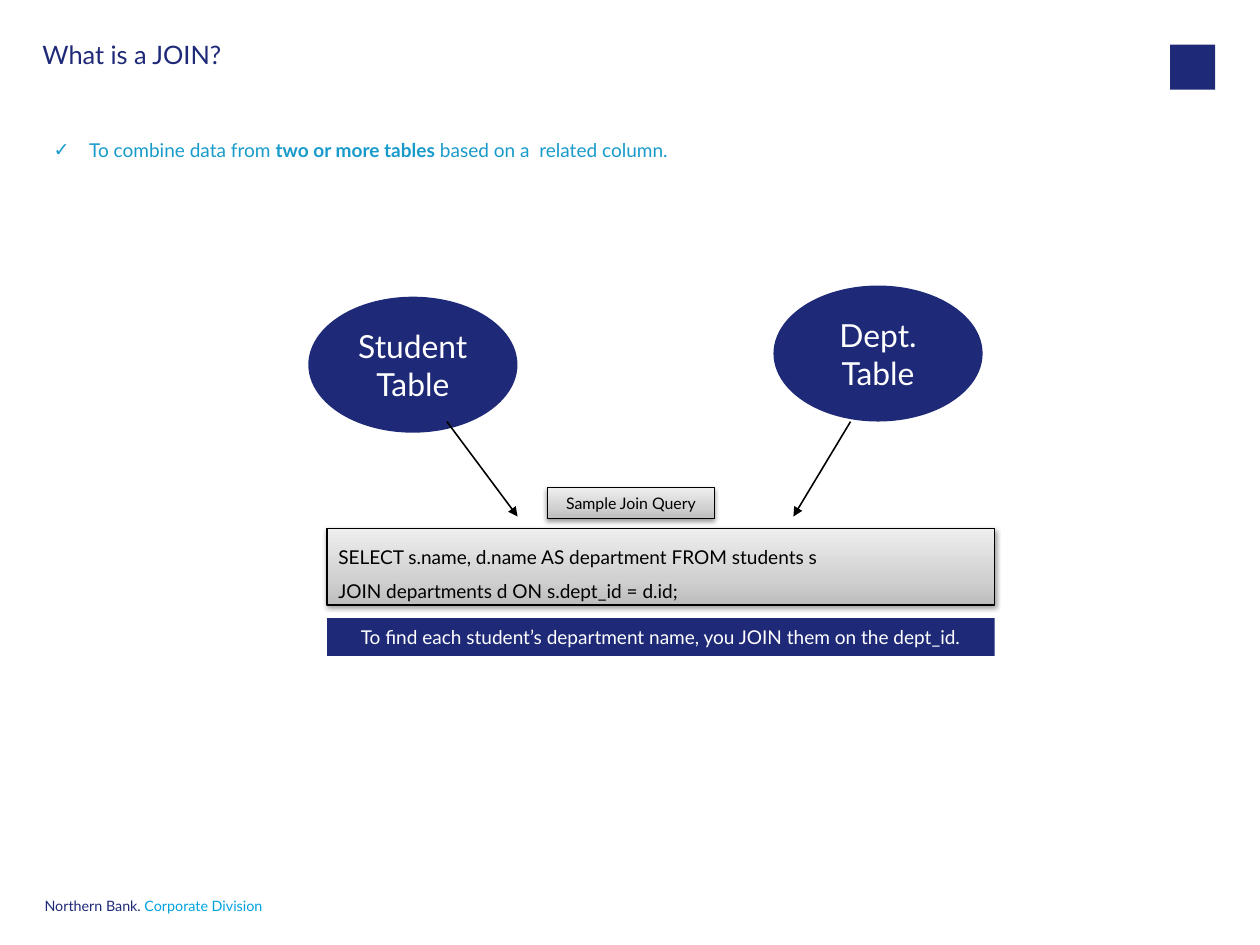
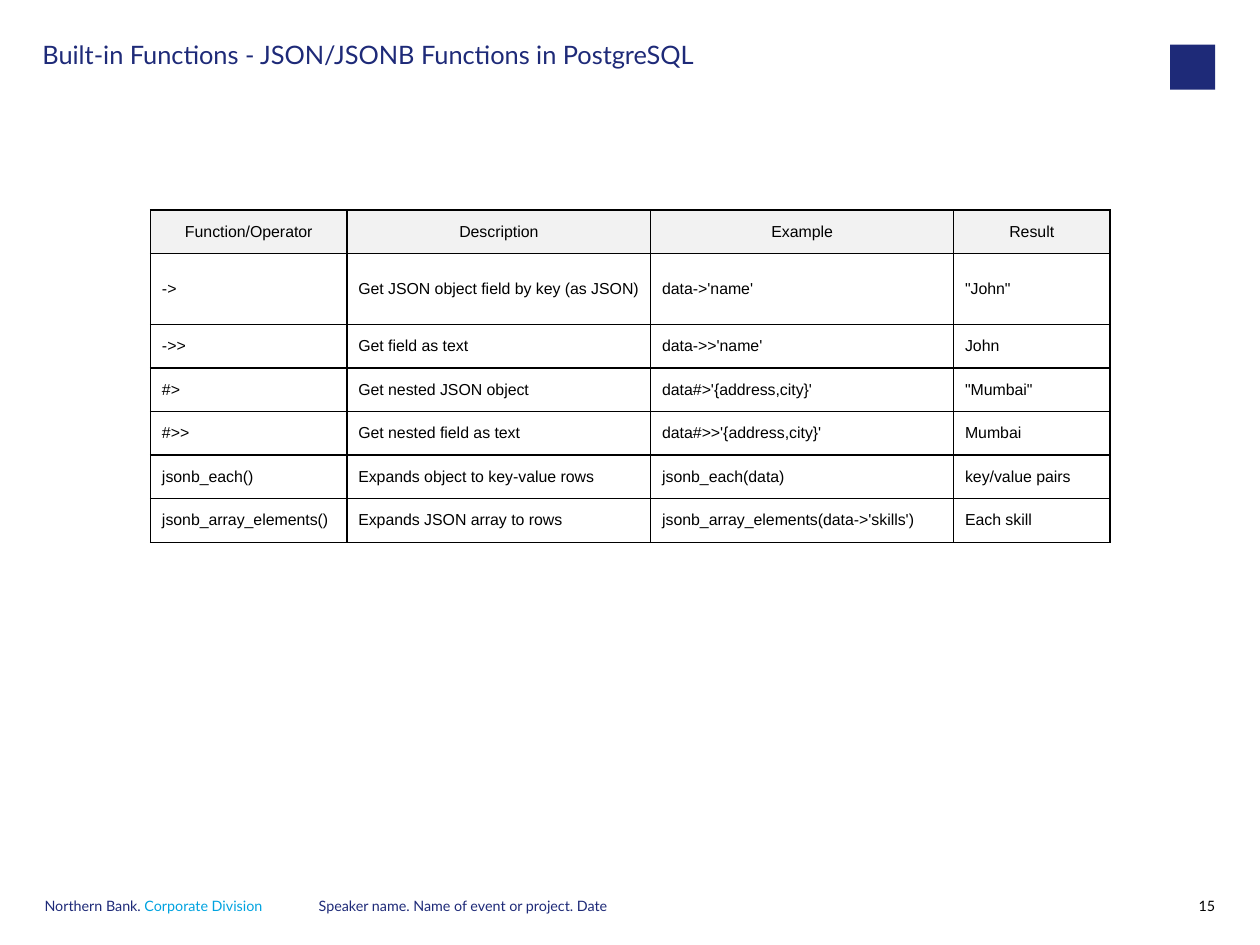
"""Build two slides on SQL joins and JSON functions."""
from dataclasses import dataclass
from typing import Optional

from lxml import etree
from pptx import Presentation
from pptx import util as u
from pptx.dml.color import RGBColor
from pptx.enum import shapes, text
from pptx.oxml import parse_xml
from pptx.oxml.ns import nsdecls, qn

WIDTH = u.Mm(280)
HEIGHT = u.Mm(210)
LEFT, CENTER, RIGHT = text.PP_ALIGN.LEFT, text.PP_ALIGN.CENTER, text.PP_ALIGN.RIGHT
TOP, MIDDLE = text.MSO_ANCHOR.TOP, text.MSO_ANCHOR.MIDDLE


@dataclass(frozen=True)
class Theme:
    """Colours, fonts and type sizes in points."""
    navy: str = "1E2A78"
    sky: str = "00A3E0"
    teal: str = "189BCB"
    black: str = "000000"
    white: str = "FFFFFF"
    header: str = "F2F2F2"
    metal: tuple = ((0, "BDBDBD"), (35, "D1D1D1"), (100, "EEEEEE"))
    font: str = "Lato"
    table_font: str = "Arial"
    title: int = 16
    oval: int = 20
    body: int = 12
    small: int = 10
    footer: int = 9


THEME = Theme()


@dataclass(frozen=True)
class Area:
    """Left, top, width and height in percent of the slide."""
    left: float
    top: float
    width: float
    height: float

    def lengths(self) -> tuple:
        """Return the four lengths."""
        return across(self.left), down(self.top), across(self.width), down(self.height)


@dataclass(frozen=True)
class Run:
    """A piece of text with an optional colour or weight of its own."""
    text: str
    color: Optional[str] = None
    bold: Optional[bool] = None


@dataclass(frozen=True)
class Style:
    """How the paragraphs of one text frame look."""
    size: int
    color: str
    align: int = LEFT
    anchor: int = TOP
    spacing: Optional[object] = None
    margins: tuple = (0.1, 0.05)
    font: str = THEME.font
    bullet: str = ""


@dataclass(frozen=True)
class Block:
    """A filled shape or plain text box with its paragraphs."""
    area: Area
    paragraphs: tuple
    style: Style
    preset: Optional[int] = None
    metal: bool = False


RECTANGLE, OVAL = shapes.MSO_SHAPE.RECTANGLE, shapes.MSO_SHAPE.OVAL
FLUSH = (0, 0)
PADDED = (0.11, 0.06)
TITLE = Style(THEME.title, THEME.navy, spacing=0.9, margins=FLUSH)
FOOTER = Style(THEME.footer, THEME.navy, spacing=u.Pt(9), margins=FLUSH)
NUMBER = Style(THEME.footer, THEME.black, RIGHT, spacing=u.Pt(9), margins=FLUSH)
POINT = Style(THEME.body, THEME.teal, bullet="✓")
OVAL_TEXT = Style(THEME.oval, THEME.white, CENTER, MIDDLE, margins=PADDED)
CAPTION = Style(THEME.body, THEME.white, CENTER, MIDDLE, margins=PADDED)
QUERY = Style(THEME.body, THEME.black, spacing=1.5)
LABEL = Style(THEME.small, THEME.black, CENTER)
CELL = Style(THEME.small, THEME.black, anchor=MIDDLE, font=THEME.table_font)
HEADER = Style(THEME.small, THEME.black, CENTER, MIDDLE, font=THEME.table_font)

TITLE_AREA = Area(3.37, 4.47, 85.9, 7.38)
MARK_AREA = Area(92.86, 4.72, 3.58, 4.77)
FOOTER_TOP, FOOTER_HEIGHT = 95.28, 2.42
BRAND = Block(Area(3.54, FOOTER_TOP, 19.87, FOOTER_HEIGHT),
              ((Run("Northern Bank. "), Run("Corporate Division", THEME.sky)),), FOOTER)

JOIN_BLOCKS = (
    Block(Area(3.37, 14.03, 86.72, 3.63),
          ((Run("To combine data from "), Run("two or more tables", bold=True),
            Run(" based on a  related column.")),), POINT),
    Block(Area(24.47, 31.4, 16.6, 14.39), ("Student Table",), OVAL_TEXT, OVAL),
    Block(Area(61.39, 30.22, 16.6, 14.39), ("Dept. Table",), OVAL_TEXT, OVAL),
    Block(Area(25.96, 55.93, 52.98, 8.1),
          ("SELECT s.name, d.name AS department FROM students s",
           "JOIN departments d ON s.dept_id = d.id;"), QUERY, RECTANGLE, True),
    Block(Area(25.96, 65.42, 52.98, 3.99),
          ("To find each student’s department name, you JOIN them on the dept_id.",),
          CAPTION, RECTANGLE),
    Block(Area(43.45, 51.63, 13.25, 3.26), ("Sample Join Query",), LABEL, RECTANGLE, True),
)
ARROW_TOP, ARROW_BOTTOM = 44.62, 54.66
ARROWS = ((35.47, 41.08), (67.5, 62.97))

JSON_BLOCKS = (
    Block(Area(92.9, FOOTER_TOP, 3.54, FOOTER_HEIGHT), ("15",), NUMBER),
    Block(Area(25.3, FOOTER_TOP, 49, FOOTER_HEIGHT),
          ("Speaker name. Name of event or project. Date",), FOOTER),
)
TABLE_LEFT, TABLE_TOP = 11.95, 22.22
COLUMNS = (15.58, 24.12, 24.04, 12.4)
ROW, TALL_ROW = 4.61, 7.5
ROWS = (
    ("Function/Operator", "Description", "Example", "Result"),
    ("->", "Get JSON object field by key (as JSON)", "data->'name'", '"John"'),
    ("->>", "Get field as text", "data->>'name'", "John"),
    ("#>", "Get nested JSON object", "data#>'{address,city}'", '"Mumbai"'),
    ("#>>", "Get nested field as text", "data#>>'{address,city}'", "Mumbai"),
    ("jsonb_each()", "Expands object to key-value rows", "jsonb_each(data)",
     "key/value pairs"),
    ("jsonb_array_elements()", "Expands JSON array to rows",
     "jsonb_array_elements(data->'skills')", "Each skill"),
)


def across(percent: float) -> int:
    """Return a share of the slide width."""
    return round(WIDTH * percent / 100)


def down(percent: float) -> int:
    """Return a share of the slide height."""
    return round(HEIGHT * percent / 100)


def rgb(color: str) -> RGBColor:
    """Return a colour object."""
    return RGBColor.from_string(color)


def add_bullet(paragraph, style: Style) -> None:
    """Give a paragraph a hanging bullet."""
    properties = paragraph._p.get_or_add_pPr()
    indent = across(2.81)
    properties.set("marL", str(indent))
    properties.set("indent", str(-indent))
    etree.SubElement(properties, qn("a:buFont")).set("typeface", style.font)
    etree.SubElement(properties, qn("a:buChar")).set("char", style.bullet)


def write(frame, paragraphs: tuple, style: Style) -> None:
    """Fill a text frame with styled paragraphs."""
    for index, content in enumerate(paragraphs):
        paragraph = frame.add_paragraph() if index else frame.paragraphs[0]
        paragraph.alignment = style.align
        if style.spacing:
            paragraph.line_spacing = style.spacing
        if style.bullet:
            add_bullet(paragraph, style)
        font = paragraph.font
        font.name, font.size = style.font, u.Pt(style.size)
        font.color.rgb = rgb(style.color)
        for part in (Run(content),) if isinstance(content, str) else content:
            run = paragraph.add_run()
            run.text = part.text
            if part.color:
                run.font.color.rgb = rgb(part.color)
            if part.bold:
                run.font.bold = True


def set_frame(frame, style: Style) -> None:
    """Set wrapping, anchor and margins of a text frame."""
    frame.word_wrap = True
    frame.auto_size = text.MSO_AUTO_SIZE.NONE
    frame.vertical_anchor = style.anchor
    side, edge = (u.Inches(margin) for margin in style.margins)
    frame.margin_left = frame.margin_right = side
    frame.margin_top = frame.margin_bottom = edge


def paint_metal(shape) -> None:
    """Give a shape a grey gradient, a thin line and a soft shadow."""
    stops = "".join(f'<a:gs pos="{position * 1000}"><a:srgbClr val="{color}"/></a:gs>'
                    for position, color in THEME.metal)
    shape.fill.gradient()
    properties = shape._element.spPr
    properties.replace(properties.find(qn("a:gradFill")), parse_xml(
        f'<a:gradFill {nsdecls("a")} rotWithShape="1"><a:gsLst>{stops}</a:gsLst>'
        '<a:lin ang="16200000" scaled="0"/></a:gradFill>'))
    shape.line.color.rgb = rgb(THEME.black)
    shape.line.width = u.Pt(0.75)
    properties.find(qn("a:effectLst")).append(parse_xml(
        f'<a:outerShdw {nsdecls("a")} blurRad="{u.Pt(3.1)}" dist="{u.Pt(1.6)}" '
        f'dir="5400000" rotWithShape="0"><a:srgbClr val="{THEME.black}">'
        '<a:alpha val="38000"/></a:srgbClr></a:outerShdw>'))


def add_shape(slide, area: Area, preset: int, metal: bool = False):
    """Draw a navy or metallic preset shape."""
    shape = slide.shapes.add_shape(preset, *area.lengths())
    shape.shadow.inherit = False
    if metal:
        paint_metal(shape)
    else:
        shape.fill.solid()
        shape.fill.fore_color.rgb = rgb(THEME.navy)
        shape.line.fill.background()
    return shape


def add_block(slide, block: Block) -> None:
    """Draw one block with its text."""
    if block.preset is None:
        shape = slide.shapes.add_textbox(*block.area.lengths())
    else:
        shape = add_shape(slide, block.area, block.preset, block.metal)
    set_frame(shape.text_frame, block.style)
    write(shape.text_frame, block.paragraphs, block.style)


def add_arrow(slide, start: float, end: float) -> None:
    """Draw an arrow from a table down to the query."""
    arrow = slide.shapes.add_connector(
        shapes.MSO_CONNECTOR.STRAIGHT,
        across(start), down(ARROW_TOP), across(end), down(ARROW_BOTTOM))
    arrow.line.color.rgb = rgb(THEME.black)
    arrow.line.width = u.Pt(1)
    etree.SubElement(arrow.line._get_or_add_ln(), qn("a:tailEnd")).set("type", "triangle")
    etree.SubElement(arrow._element.spPr, qn("a:effectLst"))


def add_borders(cell) -> None:
    """Draw the four borders of a cell."""
    properties = cell._tc.get_or_add_tcPr()
    for side in ("lnL", "lnR", "lnT", "lnB"):
        properties.append(parse_xml(
            f'<a:{side} {nsdecls("a")} w="{u.Pt(1)}"><a:solidFill>'
            f'<a:srgbClr val="{THEME.black}"/></a:solidFill></a:{side}>'))


def add_function_table(slide) -> None:
    """Draw the table of JSON functions."""
    heights = [TALL_ROW if index == 1 else ROW for index in range(len(ROWS))]
    area = Area(TABLE_LEFT, TABLE_TOP, sum(COLUMNS), sum(heights))
    table = slide.shapes.add_table(len(ROWS), len(COLUMNS), *area.lengths()).table
    table.first_row = table.horz_banding = False
    for column, width in zip(table.columns, COLUMNS):
        column.width = across(width)
    for index, (row, height, values) in enumerate(zip(table.rows, heights, ROWS)):
        row.height = down(height)
        style = CELL if index else HEADER
        for cell, value in zip(row.cells, values):
            add_borders(cell)
            if index:
                cell.fill.background()
            else:
                cell.fill.solid()
                cell.fill.fore_color.rgb = rgb(THEME.header)
            cell.vertical_anchor = style.anchor
            write(cell.text_frame, (value,), style)


def add_slide(presentation, title: str, blocks: tuple):
    """Add a slide with the shared title, mark and footer."""
    slide = presentation.slides.add_slide(presentation.slide_layouts[5])
    heading = slide.shapes.title
    heading.left, heading.top, heading.width, heading.height = TITLE_AREA.lengths()
    set_frame(heading.text_frame, TITLE)
    write(heading.text_frame, (title,), TITLE)
    add_shape(slide, MARK_AREA, RECTANGLE)
    for block in (BRAND, *blocks):
        add_block(slide, block)
    return slide


def main() -> None:
    """Build and save the presentation."""
    presentation = Presentation()
    presentation.slide_width = WIDTH
    presentation.slide_height = HEIGHT
    join = add_slide(presentation, "What is a JOIN?", JOIN_BLOCKS)
    for start, end in ARROWS:
        add_arrow(join, start, end)
    functions = add_slide(
        presentation, "Built-in Functions - JSON/JSONB Functions in PostgreSQL", JSON_BLOCKS)
    add_function_table(functions)
    presentation.save("out.pptx")


if __name__ == "__main__":
    main()
